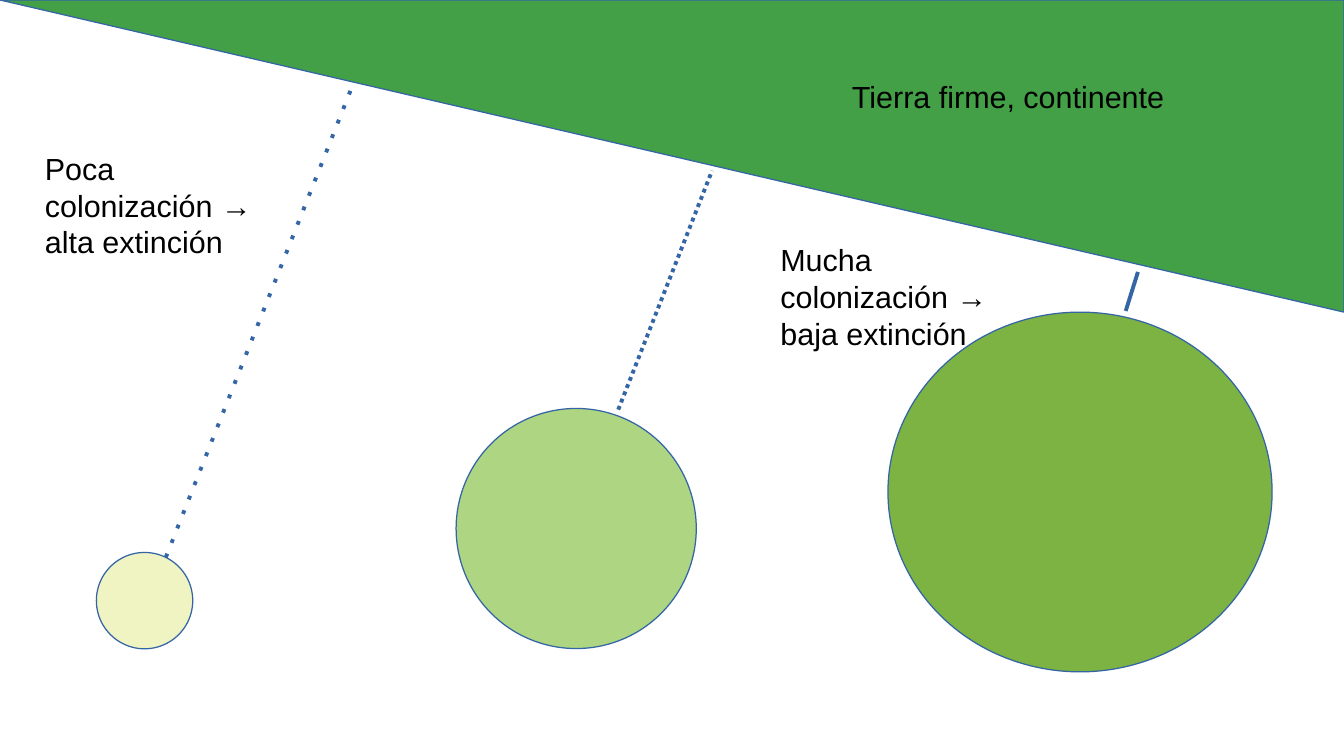
from lxml import etree
from pptx import Presentation
from pptx import util as u
from pptx.dml import color
from pptx.enum import dml, shapes, text
from pptx.oxml import ns

Pt = u.Pt
W, H = 793.44, 446.4
COLORS = {"mainland": "43A047", "small": "F0F4C3", "medium": "AED581",
          "large": "7CB342", "line": "3465A4", "text": "000000"}


def rgb(name):
    return color.RGBColor.from_string(COLORS[name])


def add_area(s, kind, box, fill):
    sp = s.shapes.add_shape(kind, *map(Pt, box))
    sp.shadow.inherit = False
    sp.fill.solid()
    sp.fill.fore_color.rgb = rgb(fill)
    sp.line.color.rgb = rgb("line")
    sp.line.width = Pt(0)
    return sp


def add_label(s, box, words):
    tf = s.shapes.add_textbox(*map(Pt, box)).text_frame
    tf.word_wrap = True
    tf.auto_size = text.MSO_AUTO_SIZE.SHAPE_TO_FIT_TEXT
    r = tf.paragraphs[0].add_run()
    r.text = words
    r.font.name = "Arial"
    r.font.size = Pt(18)
    r.font.color.rgb = rgb("text")


def add_route(s, start, end, dash):
    c = s.shapes.add_connector(shapes.MSO_CONNECTOR.STRAIGHT, *map(Pt, start + end))
    c.line.color.rgb = rgb("line")
    c.line.width = Pt(2.3)
    if dash:
        c.line.dash_style = dml.MSO_LINE.ROUND_DOT
        c.element.spPr.find(".//" + ns.qn("a:prstDash")).set("val", dash)
    etree.SubElement(c.element.spPr, ns.qn("a:effectLst"))


def add_mainland(s, box):
    x, y, w, h = box
    sp = add_area(s, shapes.MSO_SHAPE.RIGHT_TRIANGLE, box, "mainland")
    sp.rotation = 180
    add_label(s, (x + w * 0.625, y + h * 0.23, 241.2, 27.4), "Tierra firme, continente")


def add_island(s, box, fill, start, reach, dash=None, label=None):
    """Place an island, its route to the mainland and an optional (dx, dy, words) label.

    The route starts at an offset from the box and covers the given reach.
    """
    x, y = box[:2]
    add_area(s, shapes.MSO_SHAPE.OVAL, box, fill)
    x1, y1 = x + start[0], y + start[1]
    add_route(s, (x1, y1), (x1 + reach[0], y1 + reach[1]), dash)
    if label:
        dx, dy, words = label
        add_label(s, (x + dx, y + dy, 150.5, 87.8), words)


def main():
    prs = Presentation()
    prs.slide_width, prs.slide_height = Pt(W), Pt(H)
    s = prs.slides.add_slide(prs.slide_layouts[6])
    add_mainland(s, (0, 0, W, 184.3))
    add_island(s, (56.9, 326.2, 56.9, 56.9), "small", (41, 2.9), (109.4, -276.5), "dot",
               (-37.5, -241.2, "Poca colonización → alta extinción"))
    add_island(s, (269.3, 241.2, 141.8, 141.8), "medium", (95.7, 0.7), (55.4, -141.1), "sysDot")
    add_island(s, (524.2, 184.3, 226.8, 212.4), "large", (140.4, -0.7), (7.2, -23),
               label=(-70.6, -45.3, "Mucha colonización → baja extinción"))
    prs.save("out.pptx")


if __name__ == "__main__":
    main()
